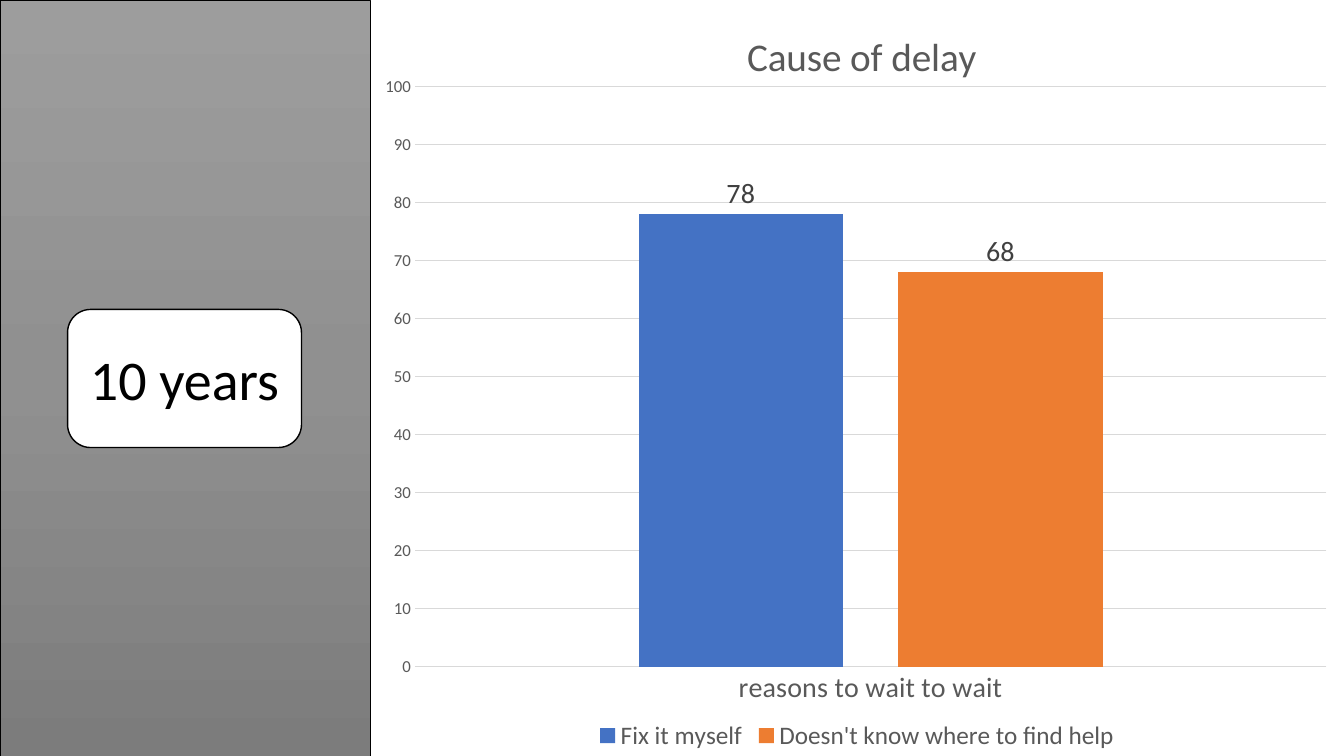
from lxml import etree
from pptx import Presentation
from pptx.chart.data import CategoryChartData
from pptx.dml.color import RGBColor
from pptx.enum.chart import XL_CHART_TYPE, XL_LABEL_POSITION, XL_LEGEND_POSITION, XL_TICK_MARK
from pptx.enum.shapes import MSO_SHAPE
from pptx.enum.text import MSO_ANCHOR, PP_ALIGN
from pptx.oxml.ns import qn
from pptx.util import Pt

EMU_PER_PX = 9144
SLIDE_WIDTH, SLIDE_HEIGHT = 1333, 750
PANEL_WIDTH = 367
BLANK_LAYOUT = 6

RECTANGLE = MSO_SHAPE.RECTANGLE
ROUNDED_RECTANGLE = MSO_SHAPE.ROUNDED_RECTANGLE
COLUMN_CLUSTERED = XL_CHART_TYPE.COLUMN_CLUSTERED
OUTSIDE_END = XL_LABEL_POSITION.OUTSIDE_END
LEGEND_BOTTOM = XL_LEGEND_POSITION.BOTTOM
NO_TICK = XL_TICK_MARK.NONE
MIDDLE = MSO_ANCHOR.MIDDLE
CENTER = PP_ALIGN.CENTER

COLORS = {
    "black": "000000",
    "white": "FFFFFF",
    "muted": "595959",
    "label": "404040",
    "grid": "D9D9D9",
    "blue": "4472C4",
    "orange": "ED7D31",
    "panel_top": "9D9D9D",
    "panel_middle": "909090",
    "panel_bottom": "7C7C7C",
}


def px(length):
    return length * EMU_PER_PX


def rgb(name):
    return RGBColor.from_string(COLORS[name])


def set_chart_layout(parent, index, **settings):
    """Place a chart part by fractions of the chart area."""
    for old_layout in parent.findall(qn("c:layout")):
        parent.remove(old_layout)
    layout = etree.Element(qn("c:layout"))
    manual = etree.SubElement(layout, qn("c:manualLayout"))
    for name, value in settings.items():
        etree.SubElement(manual, qn(f"c:{name}")).set("val", str(value))
    parent.insert(index, layout)


class SlideBuilder:
    """Holds the slide and its font."""

    def __init__(self, slide, font_name="Calibri"):
        self.slide = slide
        self.font_name = font_name

    def format_font(self, font, size, color):
        font.name = self.font_name
        font.size = Pt(size)
        font.bold = False
        font.color.rgb = rgb(color)

    def format_line(self, line, color, width):
        line.color.rgb = rgb(color)
        line.width = Pt(width)

    def add_text(self, text_frame, text, size=18, color="black", align=CENTER):
        paragraph = text_frame.paragraphs[0]
        paragraph.alignment = align
        run = paragraph.add_run()
        run.text = text
        self.format_font(run.font, size, color)

    def add_box(self, kind, left, top, width, height, line_width):
        shape = self.slide.shapes.add_shape(kind, px(left), px(top), px(width), px(height))
        shape.shadow.inherit = False
        shape.fill.solid()
        shape.fill.fore_color.rgb = rgb("white")
        self.format_line(shape.line, "black", line_width)
        return shape

    def add_gradient_panel(self, left, top, width, height, colors):
        """Add a panel whose evenly spaced colours run from top to bottom."""
        panel = self.add_box(RECTANGLE, left, top, width, height, 0.5)
        panel.fill.gradient()
        panel.fill.gradient_angle = 270
        stops = panel._element.spPr.find(qn("a:gradFill")).find(qn("a:gsLst"))
        for old_stop in list(stops):
            stops.remove(old_stop)
        for index, color in enumerate(colors):
            position = 100000 * index // (len(colors) - 1)
            stop = etree.SubElement(stops, qn("a:gs"), pos=str(position))
            etree.SubElement(stop, qn("a:srgbClr"), val=COLORS[color])

    def add_callout(self, text, left, top, width, height):
        callout = self.add_box(ROUNDED_RECTANGLE, left, top, width, height, 1)
        callout.text_frame.word_wrap = True
        callout.text_frame.vertical_anchor = MIDDLE
        self.add_text(callout.text_frame, text, size=40)

    def add_column_chart(self, title, category, series, left, top, width, height):
        """Add a chart from (name, value, colour) series."""
        data = CategoryChartData()
        data.categories = [category]
        for name, value, _ in series:
            data.add_series(name, [value])
        frame = self.slide.shapes.add_chart(
            COLUMN_CLUSTERED, px(left), px(top), px(width), px(height), data)
        chart = frame.chart
        self.format_font(chart.font, 10, "black")

        chart.has_title = True
        self.add_text(chart.chart_title.text_frame, title, size=28, color="muted")
        set_chart_layout(chart.chart_title._element, 1,
                         xMode="edge", yMode="edge", x=0.38, y=0.03)

        chart.has_legend = True
        chart.legend.position = LEGEND_BOTTOM
        chart.legend.include_in_layout = False
        self.format_font(chart.legend.font, 18, "muted")

        for axis, size in ((chart.category_axis, 20), (chart.value_axis, 12)):
            axis.major_tick_mark = axis.minor_tick_mark = NO_TICK
            self.format_font(axis.tick_labels.font, size, "muted")
        self.format_line(chart.category_axis.format.line, "grid", 0.75)
        value_axis = chart.value_axis
        value_axis.minimum_scale, value_axis.maximum_scale = 0, 100
        value_axis.major_unit = 10
        value_axis.format.line.fill.background()
        self.format_line(value_axis.major_gridlines.format.line, "grid", 0.75)

        plot = chart.plots[0]
        plot.gap_width, plot.overlap = 219, -27
        plot.vary_by_categories = False
        for column, (_, _, color) in zip(plot.series, series):
            column.format.fill.solid()
            column.format.fill.fore_color.rgb = rgb(color)
            labels = column.data_labels
            labels.show_value = True
            labels.position = OUTSIDE_END
            self.format_font(labels.font, 20, "label")
        set_chart_layout(chart._chartSpace.chart.plotArea, 0,
                         layoutTarget="inner", xMode="edge", yMode="edge",
                         x=0.046, y=0.115, w=0.936, h=0.767)


def main():
    presentation = Presentation()
    presentation.slide_width = px(SLIDE_WIDTH)
    presentation.slide_height = px(SLIDE_HEIGHT)
    slide = presentation.slides.add_slide(presentation.slide_layouts[BLANK_LAYOUT])
    builder = SlideBuilder(slide)

    builder.add_gradient_panel(0, 0, PANEL_WIDTH, SLIDE_HEIGHT,
                               ["panel_top", "panel_middle", "panel_bottom"])
    builder.add_callout("10 years", 67, 307, 232, 137)
    builder.add_column_chart(
        "Cause of delay",
        "reasons to wait to wait",
        [("Fix it myself", 78, "blue"),
         ("Doesn't know where to find help", 68, "orange")],
        PANEL_WIDTH, 0, SLIDE_WIDTH - PANEL_WIDTH, SLIDE_HEIGHT)
    presentation.save("out.pptx")


if __name__ == "__main__":
    main()
